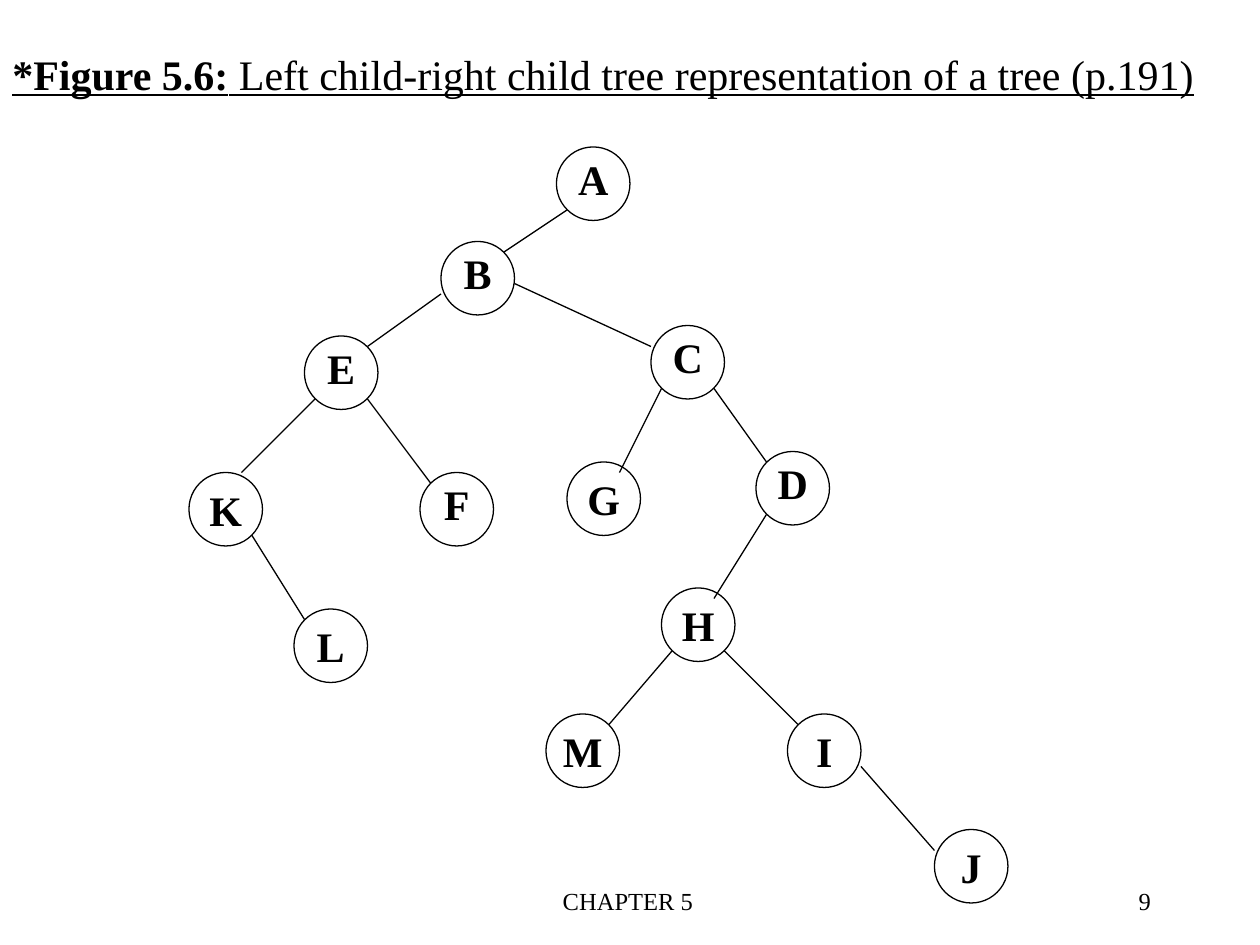
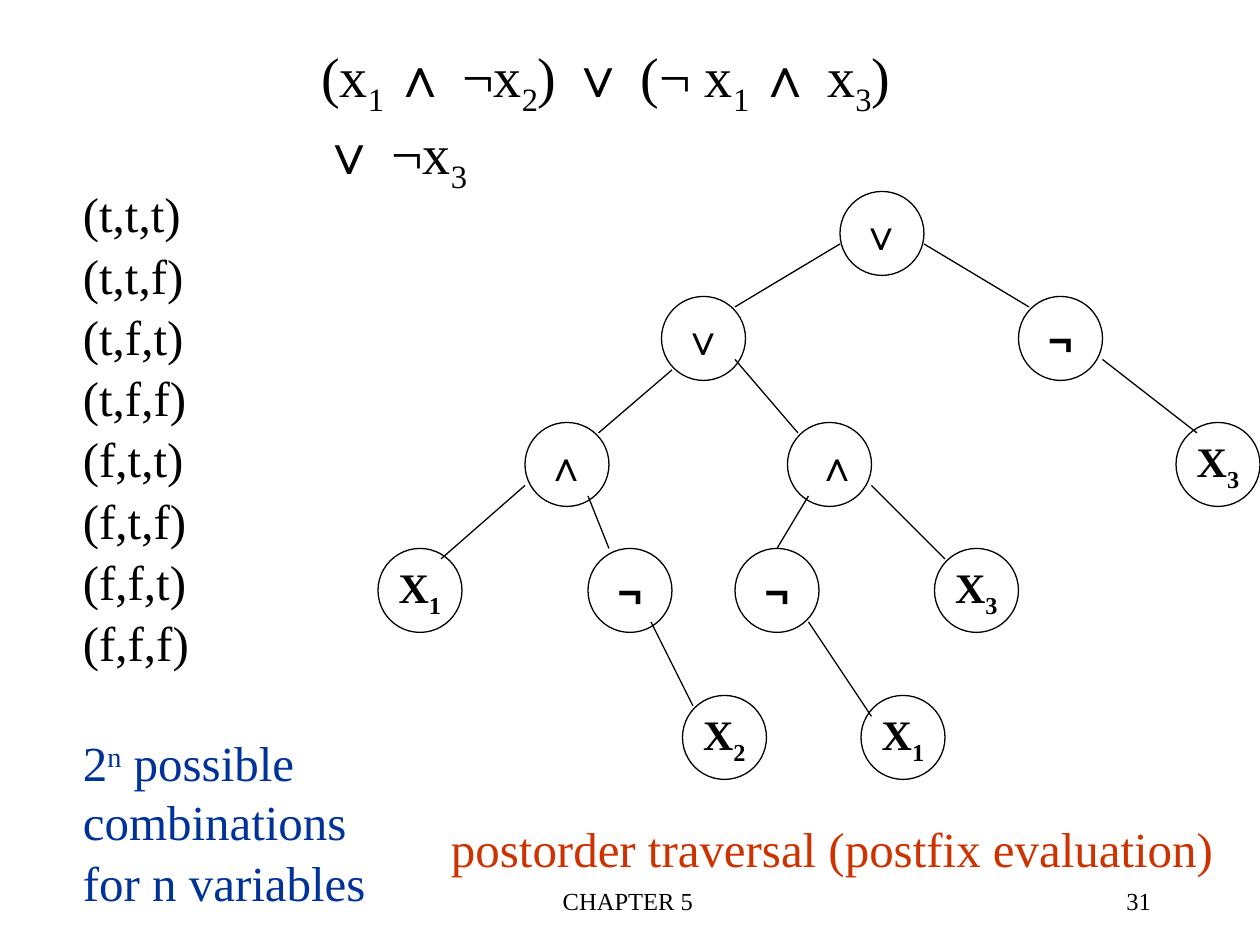
from pptx import Presentation
from pptx import util as u
from pptx.dml.color import RGBColor
from pptx.enum import shapes, text
from pptx.oxml.ns import qn
from lxml import etree

Pt = u.Pt
COLORS = {"ink": "000000", "blue": "003399", "red": "CC3300", "paper": "FFFFFF"}
SERIF, SANS = "Times New Roman", "Arial"
LEFT, MID, RIGHT = (text.PP_ALIGN.LEFT, text.PP_ALIGN.CENTER, text.PP_ALIGN.RIGHT)
GRID = 6  # points per tree grid step
SUB, SUP = -25, 30


def rgb(name):
    return RGBColor.from_string(COLORS[name])


class Deck:
    def __init__(self):
        self.prs = Presentation()
        self.prs.slide_width, self.prs.slide_height = Pt(720), Pt(540)
        self.slide = None

    def page(self, num):
        self.slide = self.prs.slides.add_slide(self.prs.slide_layouts[6])
        fill = self.slide.background.fill
        fill.solid()
        fill.fore_color.rgb = rgb("paper")
        self.box(244.8, 502.5, 228, 36, [[("CHAPTER 5",)]], 14, align=MID)
        self.box(514.8, 502.5, 150, 36, [[(num,)]], 14, align=RIGHT)

    def run(self, para, words, size, color="ink", bold=False, line=False,
            base=0, face=SERIF):
        run = para.add_run()
        run.text = words
        font = run.font
        font.name, font.size, font.bold = face, Pt(size), bold
        font.color.rgb = rgb(color)
        if line:
            font.underline = True
        if base:
            run._r.get_or_add_rPr().set("baseline", str(base * 1000))

    def fill(self, para, parts, size, align=LEFT, **style):
        """Each part is (words,) or (words, settings of that run)."""
        para.alignment = align
        for words, *own in parts:
            self.run(para, words, size, **{**style, **(own[0] if own else {})})

    def box(self, x, y, w, h, paras, size, align=LEFT, gaps=(), **style):
        frame = self.slide.shapes.add_textbox(Pt(x), Pt(y), Pt(w), Pt(h)).text_frame
        frame.word_wrap = True
        for i, parts in enumerate(paras):
            para = frame.add_paragraph() if i else frame.paragraphs[0]
            if i and gaps:
                para.space_before = Pt(gaps[i])
            self.fill(para, parts, size, align, **style)

    def node(self, x, y, size, parts, drop=0, lift=0, shift=0, face=SERIF):
        oval = self.slide.shapes.add_shape(
            shapes.MSO_SHAPE.OVAL, Pt(x * GRID), Pt(y * GRID + drop), Pt(size), Pt(size))
        oval.shadow.inherit = False
        oval.fill.background()
        oval.line.color.rgb, oval.line.width = rgb("ink"), Pt(0.75)
        frame = oval.text_frame
        frame.word_wrap = False
        frame.vertical_anchor = text.MSO_ANCHOR.MIDDLE
        frame.margin_left, frame.margin_right = Pt(7.2 + 2 * shift), Pt(7.2)
        frame.margin_top, frame.margin_bottom = Pt(3.6), Pt(3.6 + 2 * lift)
        self.fill(frame.paragraphs[0], parts, 24, MID, bold=True, face=face)

    def edges(self, ends, drop=0):
        for x1, y1, x2, y2 in ends:
            edge = self.slide.shapes.add_connector(
                shapes.MSO_CONNECTOR.STRAIGHT, Pt(x1 * GRID), Pt(y1 * GRID + drop),
                Pt(x2 * GRID), Pt(y2 * GRID + drop))
            edge.line.color.rgb, edge.line.width = rgb("ink"), Pt(0.75)
            etree.SubElement(edge._element.spPr, qn("a:effectLst"))


def child_tree(deck):
    deck.page("9")
    # Nodes: name, grid column, grid row
    nodes = [("A", 53, 14), ("B", 42, 23), ("E", 29, 32), ("C", 62, 31),
             ("J", 89, 79), ("D", 72, 43), ("K", 18, 45), ("I", 75, 68),
             ("G", 54, 44), ("M", 52, 68), ("H", 63, 56), ("F", 40, 45),
             ("L", 28, 58)]
    for name, x, y in nodes:
        deck.node(x, y, 42, [(name,)], lift=3 if name in "ABCDEF" else 0)
    deck.edges([(54, 20, 48, 24), (42, 28, 35, 33), (30, 38, 23, 45),
                (24, 51, 29, 59), (35, 38, 41, 46), (49, 27, 62, 33),
                (63, 37, 59, 45), (68, 37, 73, 44), (73, 49, 68, 57),
                (64, 62, 58, 69), (69, 62, 76, 69), (82, 73, 89, 81)])
    # Title
    deck.box(0, 24, 720, 36, [[
        ("*Figure 5.6:", {"bold": True}),
        (" Left child-right child tree representation of a tree (p.191)",)]],
        24, line=True)


def logic_tree(deck):
    deck.page("31")
    drop = 1.4
    # Operators and variables: sign, index, grid column, grid row
    nodes = [("∨", "", 80, 18), ("¬", "", 97, 28), ("∨", "", 63, 28),
             ("∧", "", 75, 40), ("∧", "", 50, 40), ("X", "3", 89, 52),
             ("¬", "", 70, 52), ("¬", "", 56, 52), ("X", "1", 36, 52),
             ("X", "2", 65, 66), ("X", "1", 82, 66), ("X", "3", 112, 40)]
    for sign, index, x, y in nodes:
        parts = [(sign,)] + ([(index, {"base": SUB})] if index else [])
        deck.node(x, y, 48, parts, drop, shift=4.5 if (x, y) == (75, 40) else 0,
                  face=SERIF if index else SANS)
    deck.edges([(80, 23, 70, 29), (64, 35, 57, 41), (50, 46, 42, 53),
                (56, 47, 58, 52), (62, 59, 66, 67), (77, 59, 83, 68),
                (77, 47, 74, 52), (83, 46, 90, 53), (70, 34, 76, 41),
                (88, 23, 98, 29), (105, 34, 114, 41)], drop)
    # Formula
    low, sign = {"base": SUB}, {"face": SANS}
    deck.box(176.4, 20.2, 352, 51, [[
        ("(x",), ("1 ", low), ("∧", sign), (" ¬x",), ("2", low), (") ",),
        ("∨", sign), (" (¬ x",), ("1 ", low), ("∧", sign), (" x",), ("3", low),
        (") ",), ("∨", sign), (" ¬x",), ("3", low)]], 32)
    # Truth assignments and their count
    rows = [[(f"({a},{b},{c})",)] for a in "tf" for b in "tf" for c in "tf"]
    blue = {"color": "blue"}
    rows += [[("2", blue), ("n", {**blue, "base": SUP}),
              (" possible combinations", blue)],
             [("for n variables", blue)]]
    deck.box(40.3, 101.5, 292.3, 377, rows, 28, gaps=[1.4] * 8 + [35, 1.4])
    deck.box(250.6, 464.4, 450, 41,
             [[("postorder traversal (postfix evaluation)",)]], 28, color="red")


def main():
    deck = Deck()
    child_tree(deck)
    logic_tree(deck)
    deck.prs.save("out.pptx")


if __name__ == "__main__":
    main()
